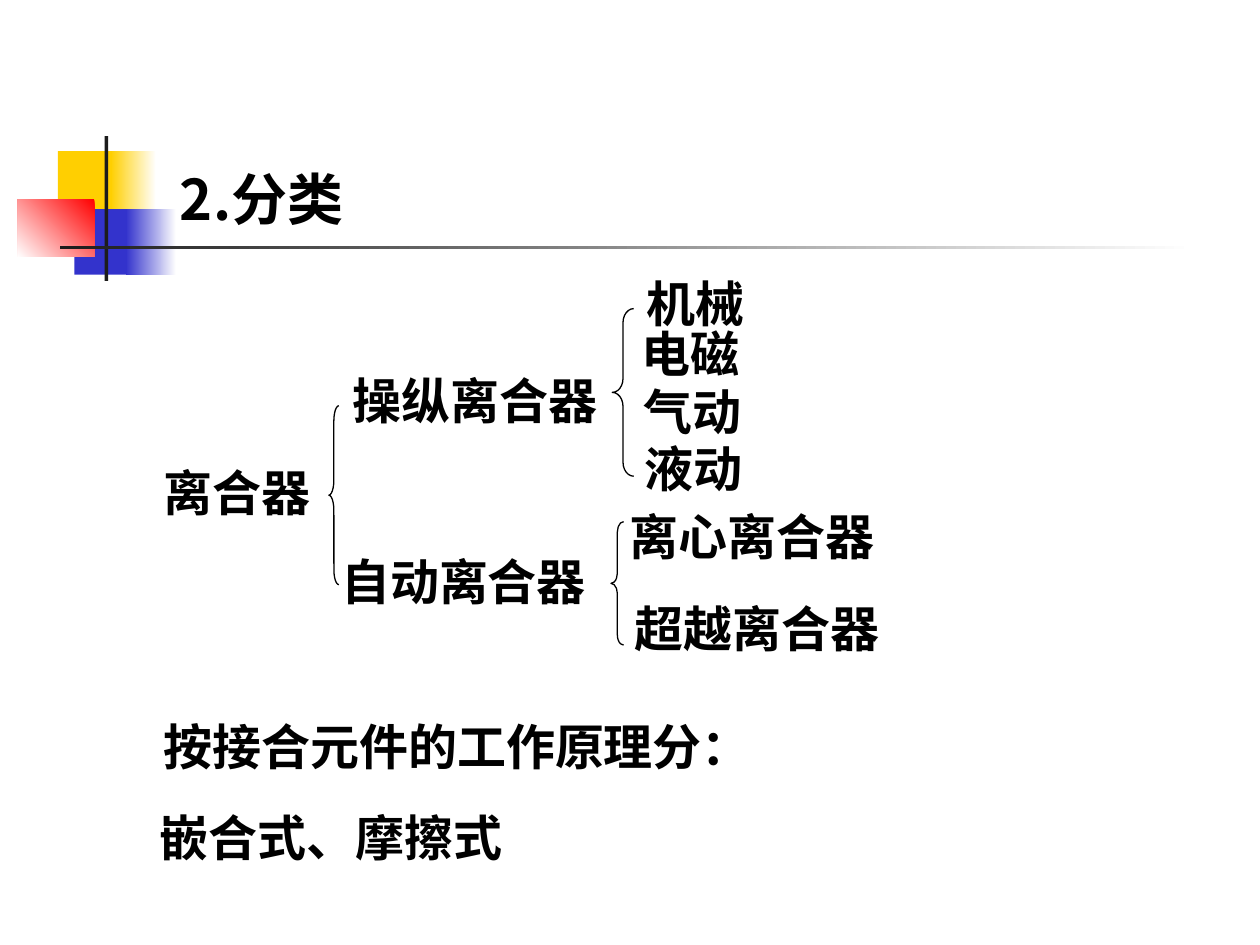
from dataclasses import dataclass

from lxml import etree
from pptx import Presentation, util as u
from pptx.dml.color import RGBColor
from pptx.enum import shapes, text
from pptx.oxml import ns


@dataclass(frozen=True)
class Theme:
    ink: str = "000000"
    white: str = "FFFFFF"
    yellow: str = "FFCF01"
    blue: str = "3333CC"
    red: str = "FF0000"
    rule: str = "1C1C1C"
    cjk: str = "Noto Sans CJK SC"
    latin: str = "Roboto"
    title: int = 32
    body: int = 28
    brace_line: float = 0.75


class SlideBuilder:
    def __init__(self, s, theme):
        self.s = s
        self.theme = theme

    def shape(self, kind, box):
        sp = self.s.shapes.add_shape(kind, *map(u.Inches, box))
        sp.shadow.inherit = False
        return sp

    def block(self, box, *colors, angle=180):
        sp = self.shape(shapes.MSO_SHAPE.RECTANGLE, box)
        sp.line.fill.background()
        if len(colors) == 1:
            sp.fill.solid()
            sp.fill.fore_color.rgb = RGBColor.from_string(colors[0])
            return
        sp.fill.gradient()
        sp.fill.gradient_angle = angle
        for stop, color in zip(sp.fill.gradient_stops, colors):
            stop.color.rgb = RGBColor.from_string(color)

    def brace(self, x, y, w, h):
        sp = self.shape(shapes.MSO_SHAPE.LEFT_BRACE, (x, y, w, h))
        sp.adjustments[0] = h / 12 / w
        sp.fill.background()
        sp.line.color.rgb = RGBColor.from_string(self.theme.ink)
        sp.line.width = u.Pt(self.theme.brace_line)

    def label(self, box, runs, size):
        tf = self.s.shapes.add_textbox(*map(u.Inches, box)).text_frame
        tf.word_wrap = True
        tf.auto_size = text.MSO_AUTO_SIZE.SHAPE_TO_FIT_TEXT
        p = tf.paragraphs[0]
        for words, font in runs:
            r = p.add_run()
            r.text = words
            r.font.name = font
            r.font.size = u.Pt(size)
            r.font.bold = True
            r.font.color.rgb = RGBColor.from_string(self.theme.ink)
            ea = etree.SubElement(r.font._element, ns.qn("a:ea"))
            ea.set("typeface", self.theme.cjk)


def main():
    t = Theme()
    prs = Presentation()
    prs.slide_width, prs.slide_height = u.Inches(10), u.Inches(7.5)
    b = SlideBuilder(prs.slides.add_slide(prs.slide_layouts[6]), t)

    b.block((0.46, 1.2, 0.48, 0.52), t.yellow)
    b.block((0.88, 1.2, 0.36, 0.52), t.white, t.yellow)
    b.block((0.59, 1.66, 0.46, 0.52), t.blue)
    b.block((1, 1.66, 0.4, 0.52), t.white, t.blue)
    b.block((0.14, 1.58, 0.61, 0.46), t.red, t.white, angle=225)
    b.block((0.83, 1.08, 0.03, 1.15), t.rule)
    b.block((0.48, 1.95, 9, 0.03), t.white, t.rule)

    b.label((1.33, 1.26, 2.58, 0.64), [("2.", t.cjk), ("分类", t.latin)], t.title)

    for brace in [(2.61, 3.22, 0.08, 1.42), (4.86, 2.45, 0.17, 1.33), (4.85, 4.14, 0.1, 0.98)]:
        b.brace(*brace)

    labels = [
        (1.2, 3.62, 1.5, "离合器", t.latin),
        (2.7, 2.89, 2.42, "操纵离合器", t.cjk),
        (2.61, 4.33, 2.17, "自动离合器", t.cjk),
        (5.03, 2.12, 1.08, "机械", t.cjk),
        (4.99, 2.52, 1.33, "电磁", t.latin),
        (5.01, 2.98, 1.42, "气动", t.latin),
        (5.02, 3.43, 1.33, "液动", t.latin),
        (4.9, 3.97, 2.25, "离心离合器", t.cjk),
        (4.94, 4.7, 2.42, "超越离合器", t.cjk),
        (1.2, 5.64, 5.92, "按接合元件的工作原理分：", t.cjk),
        (1.17, 6.36, 3.33, "嵌合式、摩擦式", t.cjk),
    ]
    for x, y, w, words, font in labels:
        b.label((x, y, w, 0.57), [(words, font)], t.body)

    prs.save("out.pptx")


if __name__ == "__main__":
    main()
